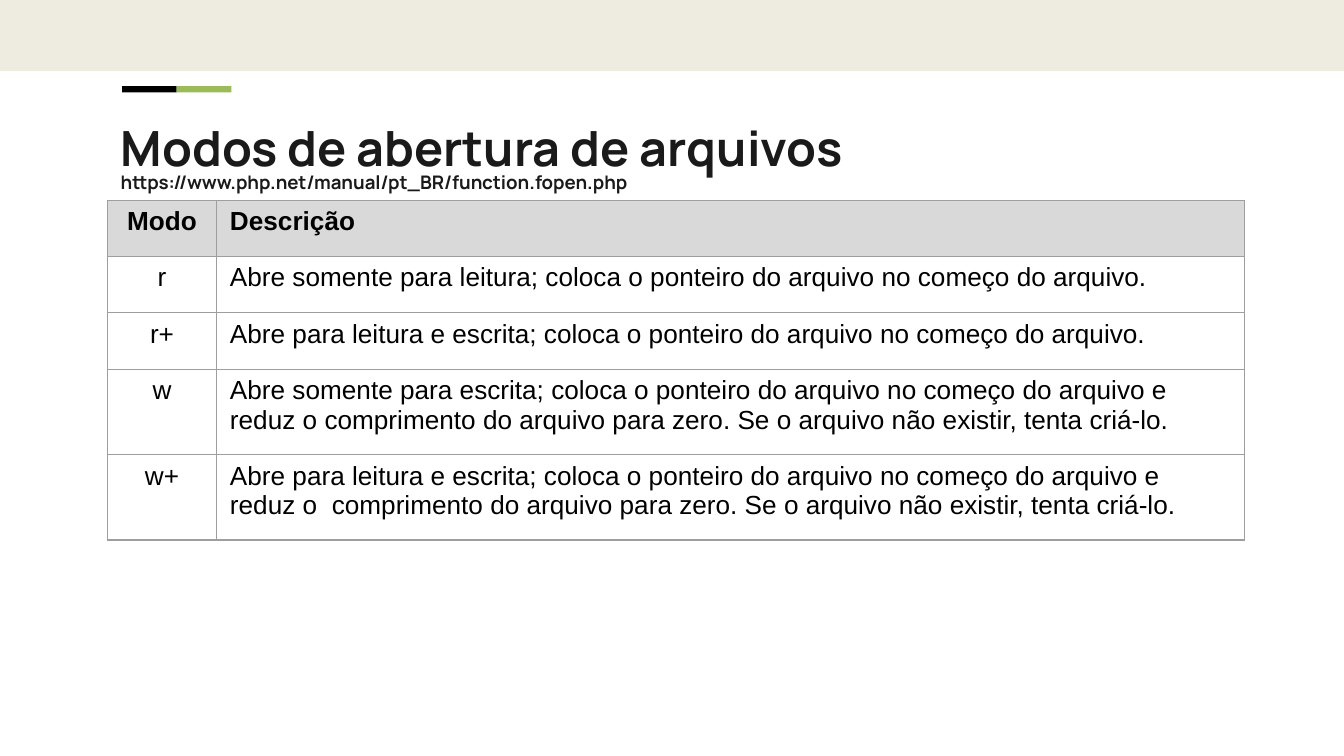
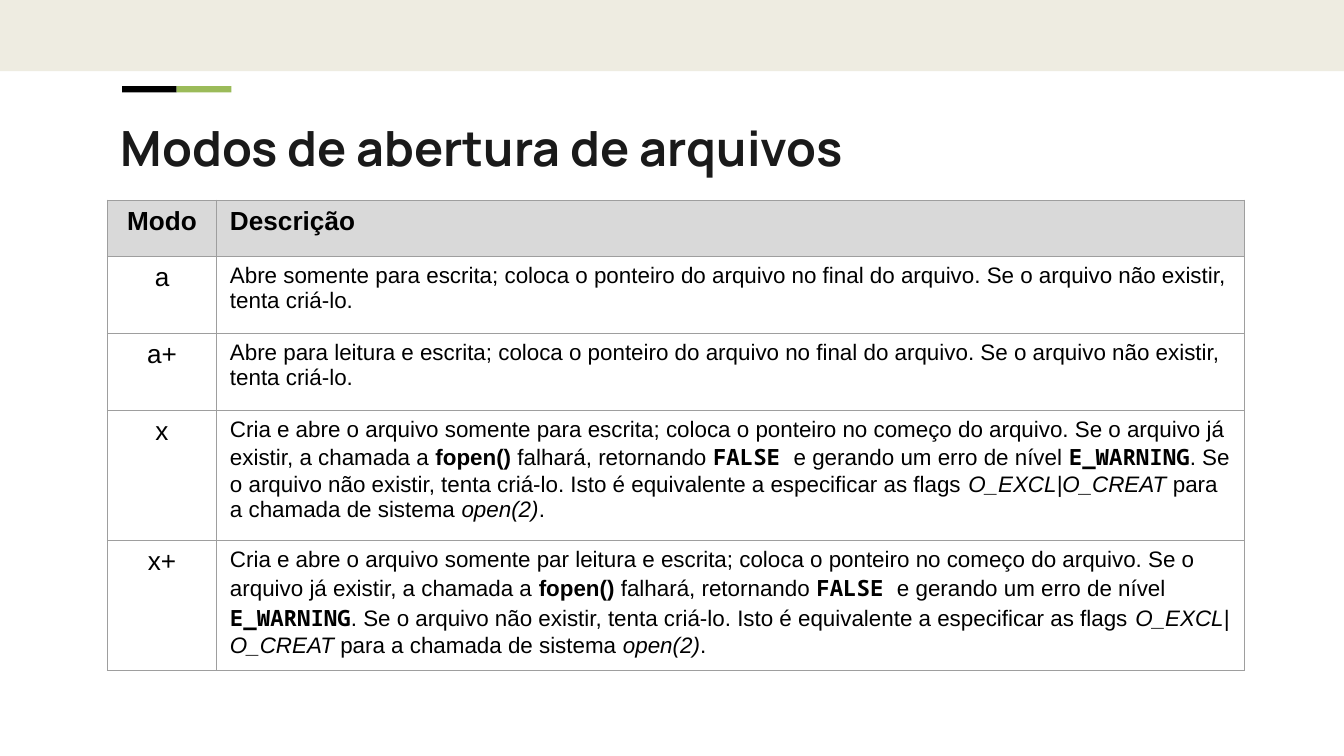
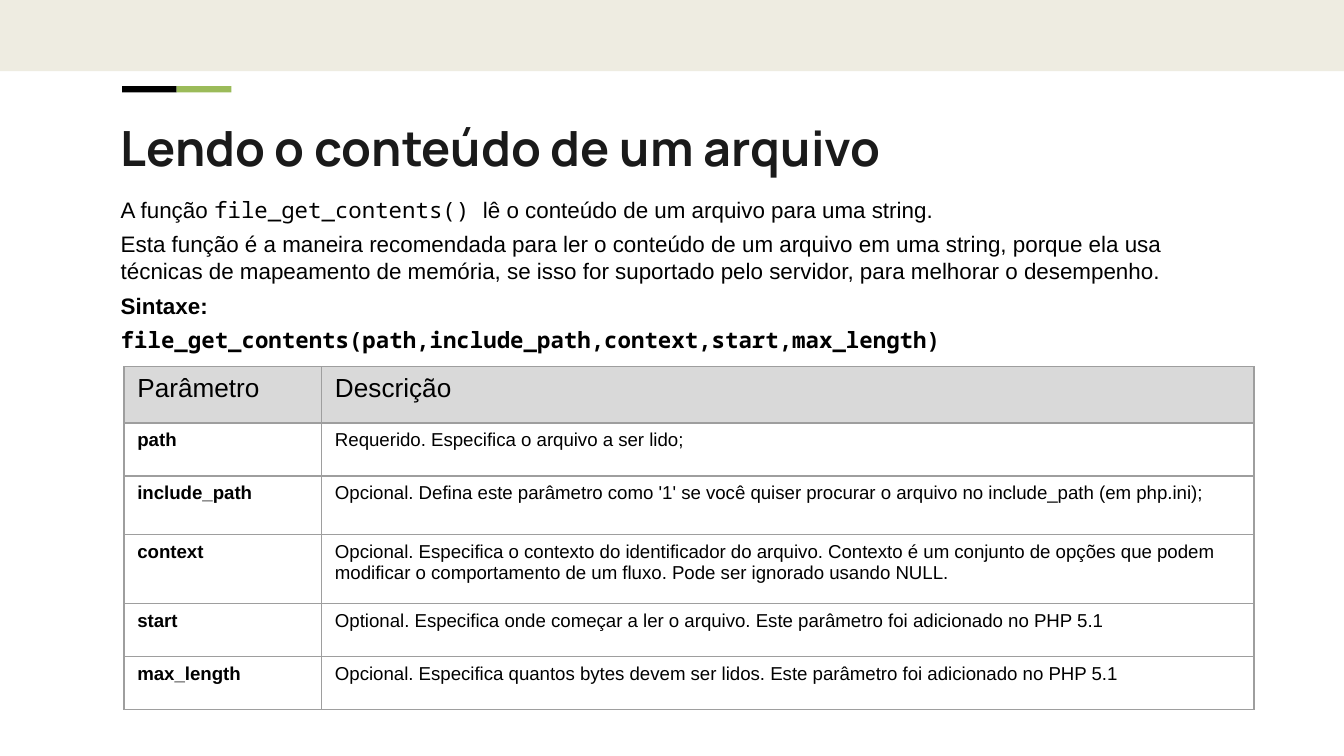
import pptx
import pptx.dml.color
import pptx.enum.shapes
import pptx.enum.text
import pptx.oxml
import pptx.oxml.ns
import pptx.util

Pt = pptx.util.Pt
RGBColor = pptx.dml.color.RGBColor
CENTER = pptx.enum.text.PP_ALIGN.CENTER
LEFT = pptx.enum.text.PP_ALIGN.LEFT

# Colours and fonts
BAND = RGBColor(0xEE, 0xEC, 0xE1)
GREEN = RGBColor(0x9B, 0xBB, 0x59)
BLACK = RGBColor(0, 0, 0)
TITLE = RGBColor(0x1A, 0x1A, 0x1A)
HEADER = RGBColor(0xD9, 0xD9, 0xD9)
BORDER = RGBColor(0x9E, 0x9E, 0x9E)
SANS, MONO, DISPLAY = "Arial", "Noto Sans Mono", "Manrope"

# Shared measures, in points
WIDTH, HEIGHT = 720, 405
MARGIN, TEXT_WIDTH = 57.6, 605.5
INSET = 7.2


class Lesson:
    """Holds the style of the deck and the slide being built."""

    def __init__(self):
        self.deck = pptx.Presentation()
        self.deck.slide_width, self.deck.slide_height = Pt(WIDTH), Pt(HEIGHT)
        self.page = None

    def new_page(self, title, link=None):
        self.page = self.deck.slides.add_slide(self.deck.slide_layouts[6])
        self.bar(0, 0, WIDTH, 38.2, BAND)
        for index, color in enumerate((BLACK, GREEN)):
            self.bar(65.4 + index * 29.3, 46.2, 29.3, 3.4, color)
        frame = self.text_box(56.2, 41.8)
        self.put_text(frame.paragraphs[0], title, 26, DISPLAY, TITLE, bold=True)
        if link:
            para = frame.add_paragraph()
            self.put_text(para, link, 10, DISPLAY, TITLE, bold=True)
            para.line_spacing = 0.7

    def bar(self, left, top, width, height, color):
        bar = self.page.shapes.add_shape(
            pptx.enum.shapes.MSO_SHAPE.RECTANGLE, Pt(left), Pt(top), Pt(width), Pt(height))
        bar.shadow.inherit = False
        bar.fill.solid()
        bar.fill.fore_color.rgb = color
        bar.line.fill.background()

    def text_box(self, top, height):
        box = self.page.shapes.add_textbox(Pt(MARGIN), Pt(top), Pt(TEXT_WIDTH), Pt(height))
        frame = box.text_frame
        frame.word_wrap = True
        frame.margin_left = frame.margin_right = Pt(INSET)
        frame.margin_top = frame.margin_bottom = Pt(INSET)
        return frame

    def put_text(self, para, content, size, font=SANS, color=BLACK, bold=False):
        """Content is a string, or a list of (text, marks) spans."""
        para.font.size, para.font.name, para.font.bold = Pt(size), font, bold
        para.font.color.rgb = color
        spans = [(content, "")] if isinstance(content, str) else content
        for text, marks in spans:
            span = para.add_run()
            span.text = text
            if "bold" in marks:
                span.font.bold = True
            if "italic" in marks:
                span.font.italic = True
            if "mono" in marks:
                span.font.name = MONO

    def body(self, top, height, paragraphs):
        frame = self.text_box(top, height)
        for index, (content, font, bold) in enumerate(paragraphs):
            para = frame.add_paragraph() if index else frame.paragraphs[0]
            self.put_text(para, content, 12, font, bold=bold)
            if index:
                para.space_before = Pt(4)

    def table(self, left, top, columns, heights, rows, sizes,
              key_align=LEFT, header_bold=False, key_bold=False, space_after=0):
        """The first row is the header; sizes are those of the two body columns."""
        grid = self.page.shapes.add_table(
            len(rows), len(columns), Pt(left), Pt(top), Pt(sum(columns)), Pt(sum(heights))).table
        grid.first_row = grid.horz_banding = False
        for column, width in zip(grid.columns, columns):
            column.width = Pt(width)
        for r, (height, row) in enumerate(zip(heights, rows)):
            grid.rows[r].height = Pt(height)
            for c, content in enumerate(row):
                cell = grid.cell(r, c)
                cell.margin_left = cell.margin_right = Pt(INSET)
                cell.margin_top = cell.margin_bottom = Pt(INSET / 2)
                self.borders(cell)
                para = cell.text_frame.paragraphs[0]
                para.alignment = LEFT if c else key_align
                if r == 0:
                    cell.fill.solid()
                    cell.fill.fore_color.rgb = HEADER
                    self.put_text(para, content, 14, bold=header_bold)
                else:
                    cell.fill.background()
                    self.put_text(para, content, sizes[c], bold=key_bold and c == 0)
                    para.space_after = Pt(space_after)

    def borders(self, cell):
        properties = cell._tc.get_or_add_tcPr()
        for side in ("lnL", "lnR", "lnT", "lnB"):
            properties.append(pptx.oxml.parse_xml(
                f'<a:{side} {pptx.oxml.ns.nsdecls("a")} w="{Pt(0.74)}"><a:solidFill>'
                f'<a:srgbClr val="{BORDER}"/></a:solidFill></a:{side}>'))

    def modes(self, heights, rows, sizes):
        self.table(MARGIN, 107.2, (58.4, 550.8), heights, [("Modo", "Descrição")] + rows,
                   sizes, key_align=CENTER, header_bold=True)


def exclusive_mode(purpose):
    return [
        (f"Cria e abre o arquivo somente {purpose}; coloca o ponteiro no começo do arquivo. "
         "Se o arquivo já existir, a chamada a ", ""),
        ("fopen()", "bold"), (" falhará, retornando ", ""),
        ("FALSE ", "bold mono"), ("e gerando um erro de nível ", ""),
        ("E_WARNING", "bold mono"),
        (". Se o arquivo não existir, tenta criá-lo. Isto é equivalente a especificar "
         "as flags ", ""),
        ("O_EXCL|O_CREAT", "italic"), (" para a chamada de sistema ", ""),
        ("open(2)", "italic"), (".", ""),
    ]


lesson = Lesson()

# Slide 1: read and write modes
MODES_TITLE = "Modos de abertura de arquivos"
START = "coloca o ponteiro do arquivo no começo do arquivo"
CREATE = "Se o arquivo não existir, tenta criá-lo."
lesson.new_page(MODES_TITLE, "https://www.php.net/manual/pt_BR/function.fopen.php")
lesson.modes((30.2, 30.2, 30.2, 45.8, 45.8), [
    ("r", f"Abre somente para leitura; {START}."),
    ("r+", f"Abre para leitura e escrita; {START}."),
    ("w", f"Abre somente para escrita; {START} e reduz o comprimento do arquivo "
          f"para zero. {CREATE}"),
    ("w+", f"Abre para leitura e escrita; {START} e reduz o  comprimento do arquivo "
           f"para zero. {CREATE}"),
], (14, 14))

# Slide 2: append and exclusive modes
END = "coloca o ponteiro do arquivo no final do arquivo"
lesson.new_page(MODES_TITLE)
lesson.modes((30.2, 41.2, 41.2, 69.7, 69.7), [
    ("a", f"Abre somente para escrita; {END}. {CREATE}"),
    ("a+", f"Abre para leitura e escrita; {END}. {CREATE}"),
    ("x", exclusive_mode("para escrita")),
    ("x+", exclusive_mode("par leitura e escrita")),
], (14, 12))

# Slide 3: reading a file
lesson.new_page("Lendo o conteúdo de um arquivo")
lesson.body(97.9, 100.8, [
    ([("A função ", ""), ("file_get_contents() ", "mono"),
      ("lê o conteúdo de um arquivo para uma string.", "")], SANS, False),
    ("Esta função é a maneira recomendada para ler o conteúdo de um arquivo em uma string, "
     "porque ela usa técnicas de mapeamento de memória, se isso for suportado pelo servidor, "
     "para melhorar o desempenho.", SANS, False),
    ("Sintaxe:", SANS, True),
    ("file_get_contents(path,include_path,context,start,max_length)", MONO, True),
])
ADDED = "Este parâmetro foi adicionado no PHP 5.1"
lesson.table(66.4, 196.4, (105.9, 499.6), (30.2, 28.4, 31.6, 36.8, 28.4, 28.4), [
    ("Parâmetro", "Descrição"),
    ("path", "Requerido. Especifica o arquivo a ser lido;"),
    ("include_path", "Opcional. Defina este parâmetro como '1' se você quiser procurar "
                     "o arquivo no include_path (em php.ini);"),
    ("context", "Opcional. Especifica o contexto do identificador do arquivo. Contexto é um "
                "conjunto de opções que podem modificar o comportamento de um fluxo. "
                "Pode ser ignorado usando NULL."),
    ("start", f"Optional. Especifica onde começar a ler o arquivo. {ADDED}"),
    ("max_length", f"Opcional. Especifica quantos bytes devem ser lidos. {ADDED}"),
], (10, 10), key_bold=True, space_after=4)

lesson.deck.save("out.pptx")
